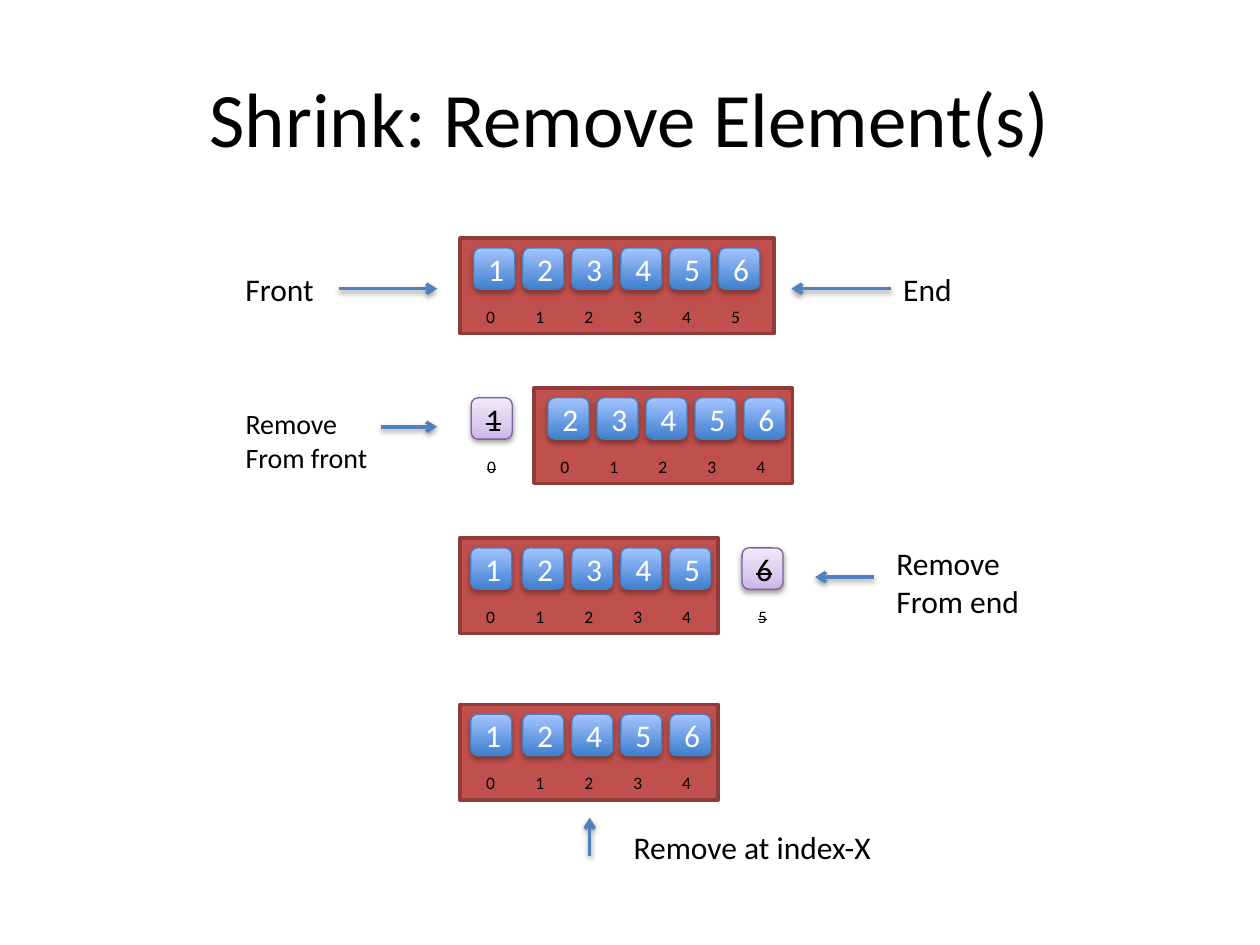
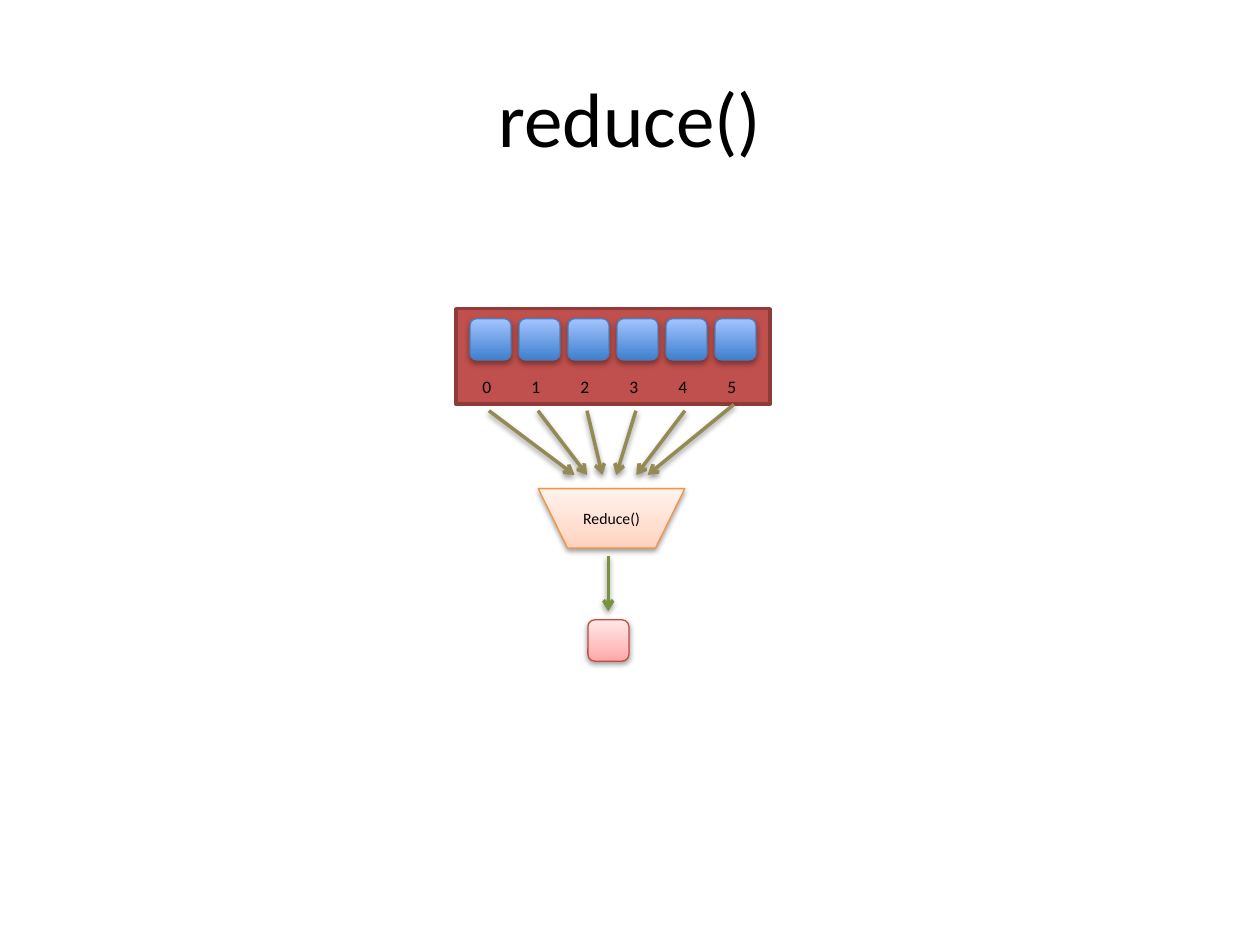
import copy

import pptx
import pptx.dml.color
import pptx.enum.shapes
import pptx.enum.text
import pptx.oxml
import pptx.oxml.ns
import pptx.util

Pt = pptx.util.Pt
RGBColor = pptx.dml.color.RGBColor
Shape = pptx.enum.shapes.MSO_SHAPE
Align = pptx.enum.text.PP_ALIGN
qn = pptx.oxml.ns.qn

BLACK = RGBColor(0x00, 0x00, 0x00)
WHITE = RGBColor(0xFF, 0xFF, 0xFF)
BRICK = RGBColor(0xC0, 0x50, 0x4D)
MAROON = RGBColor(0x8E, 0x3B, 0x39)
BLUE = RGBColor(0x4F, 0x81, 0xBD)
OLIVE = RGBColor(0x94, 0x8A, 0x54)
GREEN = RGBColor(0x77, 0x93, 0x3C)

BLUES = (RGBColor(0x3F, 0x80, 0xCE), RGBColor(0xA4, 0xC4, 0xFF))
BLUE_EDGE = RGBColor(0x4B, 0x7E, 0xBC)
LILACS = (RGBColor(0xC9, 0xB5, 0xE8), RGBColor(0xD8, 0xCB, 0xEE), RGBColor(0xF0, 0xEA, 0xF9))
LILAC_EDGE = RGBColor(0x7D, 0x60, 0xA0)
PEACHES = (RGBColor(0xFF, 0xD2, 0xBD), RGBColor(0xFF, 0xDE, 0xD0), RGBColor(0xFF, 0xF2, 0xED))
PEACH_EDGE = RGBColor(0xF6, 0x92, 0x40)
PINKS = (RGBColor(0xFF, 0xA6, 0xA5), RGBColor(0xFF, 0xC0, 0xBF), RGBColor(0xFF, 0xE7, 0xE7))
PINK_EDGE = RGBColor(0xBF, 0x4C, 0x48)

FONT = "Calibri"
PITCH = 28
TILE_W, TILE_H = 23.4, 23.6
PAD_X, PAD_Y = 8, 5.7
INDEX_Y = 35.2
BOX_H = 54.6
WIDE, SHORT = 179.4, 147.6


class Deck:
    """Holds the deck style and draws on the current slide."""

    def __init__(self):
        self.show = pptx.Presentation()
        self.show.slide_width, self.show.slide_height = Pt(720), Pt(540)

    def page(self, title):
        self.slide = self.show.slides.add_slide(self.show.slide_layouts[6])
        box = self.slide.shapes.add_textbox(Pt(36), Pt(21.6), Pt(648), Pt(90))
        box.text_frame.word_wrap = True
        box.text_frame.vertical_anchor = pptx.enum.text.MSO_ANCHOR.MIDDLE
        self.label(box, title, 44, align=Align.CENTER)

    def label(self, shape, text, size, color=BLACK, align=Align.LEFT, strike=False):
        shape.text_frame.text = text
        for para in shape.text_frame.paragraphs:
            para.alignment = align
            for run in para.runs:
                run.font.name, run.font.size = FONT, Pt(size)
                run.font.color.rgb = color
                if strike:
                    run._r.get_or_add_rPr().set("strike", "sngStrike")

    def note(self, text, x, y, w, h, size=18, wrap=False, strike=False):
        box = self.slide.shapes.add_textbox(Pt(x), Pt(y), Pt(w), Pt(h))
        box.text_frame.word_wrap = wrap
        box.text_frame.auto_size = pptx.enum.text.MSO_AUTO_SIZE.SHAPE_TO_FIT_TEXT
        self.label(box, text, size, strike=strike)

    def shade(self, props, alpha=38, drop=1.57):
        glow = props.find(qn("a:effectLst"))
        if glow is None:
            glow = props.makeelement(qn("a:effectLst"), {})
            props.append(glow)
        glow.append(pptx.oxml.parse_xml(
            f'<a:outerShdw {pptx.oxml.ns.nsdecls("a")} blurRad="{Pt(3.15)}" '
            f'dist="{Pt(drop)}" dir="5400000" rotWithShape="0">'
            f'<a:srgbClr val="{BLACK}"><a:alpha val="{alpha * 1000}"/></a:srgbClr>'
            '</a:outerShdw>'))

    def block(self, kind, x, y, w, h, edge, weight):
        shape = self.slide.shapes.add_shape(kind, Pt(x), Pt(y), Pt(w), Pt(h))
        shape.shadow.inherit = False
        shape.line.color.rgb, shape.line.width = edge, Pt(weight)
        return shape

    def glossy(self, kind, x, y, w, h, tones, edge, **shadow):
        shape = self.block(kind, x, y, w, h, edge, 0.75)
        shape.fill.gradient()
        shape.fill.gradient_angle = 90
        props = shape._element.spPr
        if len(tones) == 3:
            stops = props.find(qn("a:gradFill")).find(qn("a:gsLst"))
            stops.insert(1, copy.deepcopy(stops[0]))
        places = (0, 0.35, 1) if len(tones) == 3 else (0, 1)
        for stop, tone, place in zip(shape.fill.gradient_stops, tones, places):
            stop.color.rgb, stop.position = tone, place
        self.shade(props, **shadow)
        return shape

    def tile(self, x, y, text="", tones=BLUES, edge=BLUE_EDGE, color=WHITE,
             strike=False, **shadow):
        shape = self.glossy(Shape.ROUNDED_RECTANGLE, x, y, TILE_W, TILE_H,
                            tones, edge, **shadow)
        if text:
            self.label(shape, text, 18, color, Align.CENTER, strike)

    def index(self, number, x, y, strike=False):
        self.note(str(number), x, y + INDEX_Y, TILE_W, 19.4, 10, True, strike)

    def array(self, x, y, w, values, nudge=0):
        box = self.block(Shape.RECTANGLE, x, y, w, BOX_H, MAROON, 2)
        box.fill.solid()
        box.fill.fore_color.rgb = BRICK
        for i, value in enumerate(values):
            left = x + PAD_X + i * PITCH
            self.tile(left + (0 if i else nudge), y + PAD_Y, value, alpha=35, drop=1.81)
            self.index(i, left, y)

    def removed(self, x, y, value, number):
        self.tile(x, y + PAD_Y, value, LILACS, LILAC_EDGE, BLACK, True)
        self.index(number, x + 2, y, True)

    def arrow(self, x1, y1, x2, y2, color=BLUE):
        line = self.slide.shapes.add_connector(
            pptx.enum.shapes.MSO_CONNECTOR.STRAIGHT, Pt(x1), Pt(y1), Pt(x2), Pt(y2))
        line.line.color.rgb, line.line.width = color, Pt(2)
        props = line._element.spPr
        stroke = props.find(qn("a:ln"))
        stroke.append(stroke.makeelement(qn("a:tailEnd"), {"type": "arrow"}))
        self.shade(props)


def shrink(deck):
    deck.page("Shrink: Remove Element(s)")
    deck.array(262.8, 136, WIDE, "123456")
    deck.note("Front", 133.2, 150.6, 54.7, 29)
    deck.note("End", 509, 150.6, 42.5, 29)
    deck.arrow(193.7, 165, 249.8, 165)
    deck.arrow(509, 165, 452.2, 165)

    deck.removed(269.3, 221.6, "1", 0)
    deck.array(305.2, 221.6, SHORT, "23456")
    deck.note("Remove\nFrom front", 133.2, 229, 85.7, 46, 16)
    deck.arrow(217.5, 243.9, 249.8, 243.9)

    deck.array(262.8, 307.4, SHORT, "12345", -1.8)
    deck.removed(424.1, 307.4, "6", 5)
    deck.note("Remove\nFrom end", 505.2, 307.4, 88.6, 51, wrap=True)
    deck.arrow(499.5, 329.8, 465.8, 329.8)

    deck.array(262.8, 402.5, SHORT, "12456", -1.8)
    deck.note("Remove at index-X", 355, 469.4, 159.8, 29, wrap=True)
    deck.arrow(337, 489, 337, 467.3)


def fold(deck):
    deck.page("reduce()")
    deck.array(260.6, 176.4, WIDE, [""] * 6)
    tips = (328.3, 335.5, 344.2, 352.1, 363.6, 370.1)
    for i, tip in enumerate(tips):
        top = 231.1 if i == len(tips) - 1 else 234.7
        deck.arrow(279.4 + i * PITCH, top, tip, 271.4, OLIVE)
    funnel = deck.glossy(Shape.FLOWCHART_MANUAL_OPERATION, 307.6, 279.2, 83.7, 34,
                         PEACHES, PEACH_EDGE)
    deck.label(funnel, "Reduce()", 9, align=Align.CENTER)
    deck.arrow(347.6, 317.5, 347.6, 349.2, GREEN)
    deck.tile(336, 354.2, tones=PINKS, edge=PINK_EDGE)


def main():
    deck = Deck()
    shrink(deck)
    fold(deck)
    deck.show.save("out.pptx")


if __name__ == "__main__":
    main()
